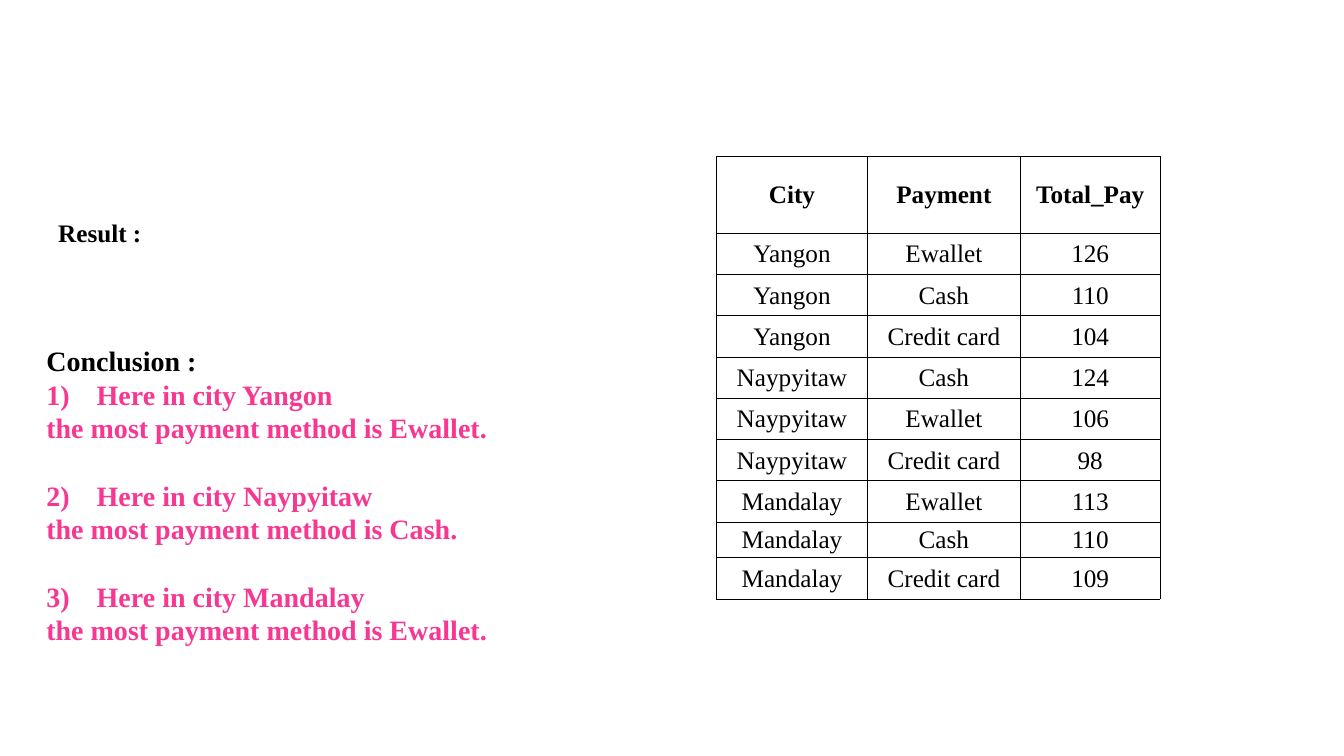
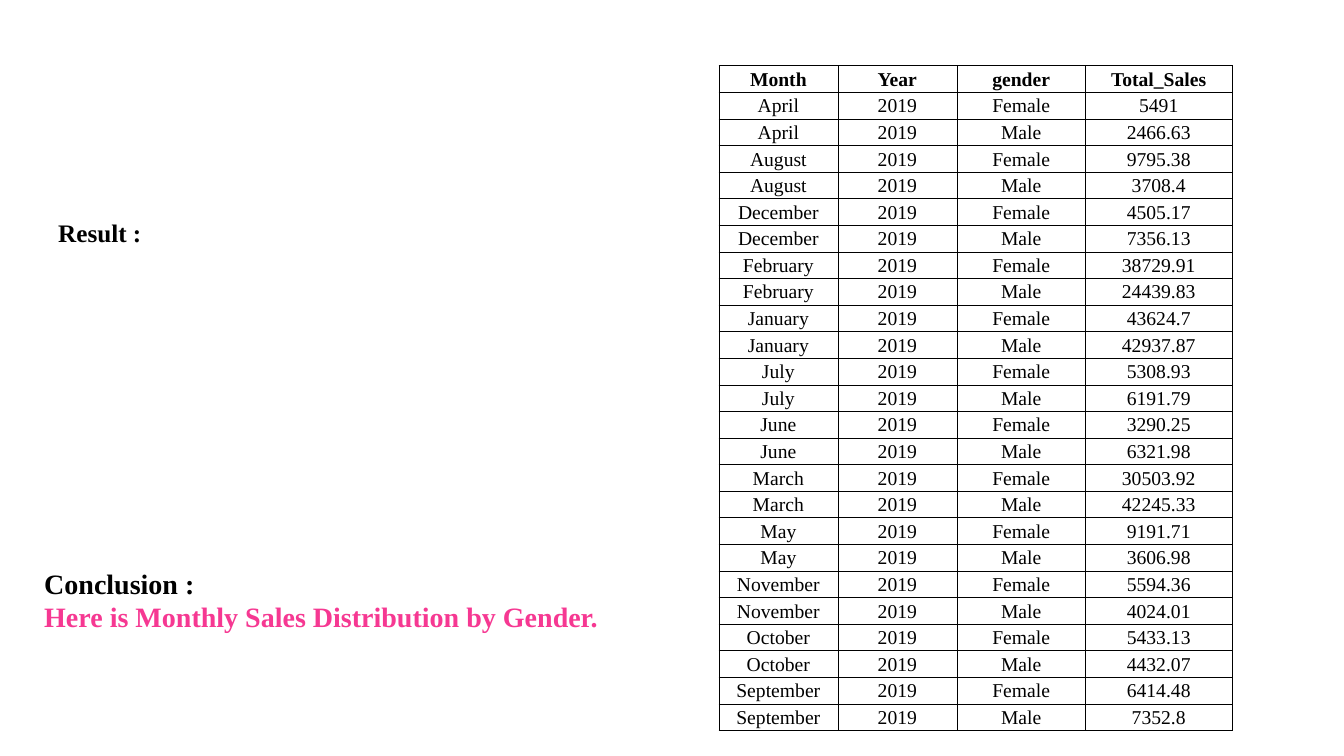
from lxml import etree
from pptx import Presentation
from pptx.dml.color import RGBColor
from pptx.enum.text import MSO_ANCHOR, MSO_AUTO_SIZE, PP_ALIGN
from pptx.oxml.ns import qn
from pptx.util import Pt

CENTER = PP_ALIGN.CENTER
MIDDLE = MSO_ANCHOR.MIDDLE
GROW = MSO_AUTO_SIZE.SHAPE_TO_FIT_TEXT
FONT = "Times New Roman"
COLORS = {"ink": "000000", "pink": "F63892"}
HANG = 36
WIDTH = 856

PAYS = [
    ("City", "Payment", "Total_Pay"),
    ("Yangon", "Ewallet", "126"),
    ("Yangon", "Cash", "110"),
    ("Yangon", "Credit card", "104"),
    ("Naypyitaw", "Cash", "124"),
    ("Naypyitaw", "Ewallet", "106"),
    ("Naypyitaw", "Credit card", "98"),
    ("Mandalay", "Ewallet", "113"),
    ("Mandalay", "Cash", "110"),
    ("Mandalay", "Credit card", "109"),
]
TOP = [("Yangon", "Ewallet"), ("Naypyitaw", "Cash"), ("Mandalay", "Ewallet")]
# Month, female sales, male sales
SALES = [
    ("April", "5491", "2466.63"),
    ("August", "9795.38", "3708.4"),
    ("December", "4505.17", "7356.13"),
    ("February", "38729.91", "24439.83"),
    ("January", "43624.7", "42937.87"),
    ("July", "5308.93", "6191.79"),
    ("June", "3290.25", "6321.98"),
    ("March", "30503.92", "42245.33"),
    ("May", "9191.71", "3606.98"),
    ("November", "5594.36", "4024.01"),
    ("October", "5433.13", "4432.07"),
    ("September", "6414.48", "7352.8"),
]


def write(para, text, size=20, color="ink", bold=True, align=None, gap=0, num=None):
    """Fill a paragraph; num makes it a numbered item with a hanging indent."""
    run = para.add_run()
    run.text = text
    font = run.font
    font.name, font.size, font.bold = FONT, Pt(size), bold
    font.color.rgb = RGBColor.from_string(COLORS[color])
    para.alignment = align
    para.space_before = Pt(gap)
    if num:
        props = para._p.get_or_add_pPr()
        props.set("marL", str(Pt(HANG)))
        props.set("indent", str(Pt(-HANG)))
        etree.SubElement(props, qn("a:buAutoNum"), type="arabicParenR", startAt=str(num))


def frame(cell):
    """Draw a thin line on all four sides of a table cell."""
    props = cell._tc.get_or_add_tcPr()
    for spot, side in enumerate("LRTB"):
        line = etree.Element(qn(f"a:ln{side}"), w=str(Pt(0.5)))
        fill = etree.SubElement(line, qn("a:solidFill"))
        etree.SubElement(fill, qn("a:srgbClr"), val=COLORS["ink"])
        props.insert(spot, line)


class Deck:
    def __init__(self):
        self.file = Presentation()
        self.file.slide_width, self.file.slide_height = Pt(960), Pt(540)

    def page(self):
        """Start a slide with its result label."""
        self.slide = self.file.slides.add_slide(self.file.slide_layouts[6])
        self.text(34.5, 152, 29, [("Result :", {"size": 18})])

    def text(self, left, top, height, lines):
        box = self.slide.shapes.add_textbox(Pt(left), Pt(top), Pt(WIDTH), Pt(height))
        body = box.text_frame
        body.word_wrap = True
        body.auto_size = GROW
        for spot, (text, style) in enumerate(lines):
            para = body.add_paragraph() if spot else body.paragraphs[0]
            write(para, text, **style)

    def close(self, left, top, height, lines):
        """Write the conclusion: a black heading over pink lines."""
        pink = [(text, {"color": "pink", **style}) for text, style in lines]
        self.text(left, top, height, [("Conclusion :", {}), *pink])

    def table(self, left, top, cols, tall, data, size):
        shape = self.slide.shapes.add_table(
            len(data), len(cols), Pt(left), Pt(top), Pt(sum(cols)), Pt(sum(tall)))
        grid = shape.table
        grid.first_row = grid.horz_banding = False
        for col, width in zip(grid.columns, cols):
            col.width = Pt(width)
        for row, height, texts in zip(grid.rows, tall, data):
            row.height = Pt(height)
            for cell, text in zip(row.cells, texts):
                cell.fill.background()
                cell.vertical_anchor = MIDDLE
                cell.margin_left = cell.margin_right = cell.margin_top = Pt(0.75)
                cell.margin_bottom = 0
                frame(cell)
                write(cell.text_frame.paragraphs[0], text, size=size,
                      bold=texts is data[0], align=CENTER)


def main():
    deck = Deck()

    deck.page()
    deck.table(512, 111.5, [107.5, 109.5, 99.5],
               [55] + [29.5] * 7 + [25.5, 29.5], PAYS, 18)
    lines = []
    for num, (city, pay) in enumerate(TOP, 1):
        gap = 24 if num > 1 else 0
        lines.append((f"Here in city {city}", {"num": num, "gap": gap}))
        lines.append((f"the most payment method is {pay}.", {}))
    deck.close(26, 242, 273.5, lines)

    deck.page()
    data = [("Month", "Year", "gender", "Total_Sales")]
    for month, *sums in SALES:
        for gender, total in zip(("Female", "Male"), sums):
            data.append((month, "2019", gender, total))
    deck.table(513.5, 47, [85, 85, 92, 104.5], [19] * len(data), data, 14)
    deck.close(24.5, 401, 55.5, [("Here is Monthly Sales Distribution by Gender.", {})])

    deck.file.save("out.pptx")


if __name__ == "__main__":
    main()
